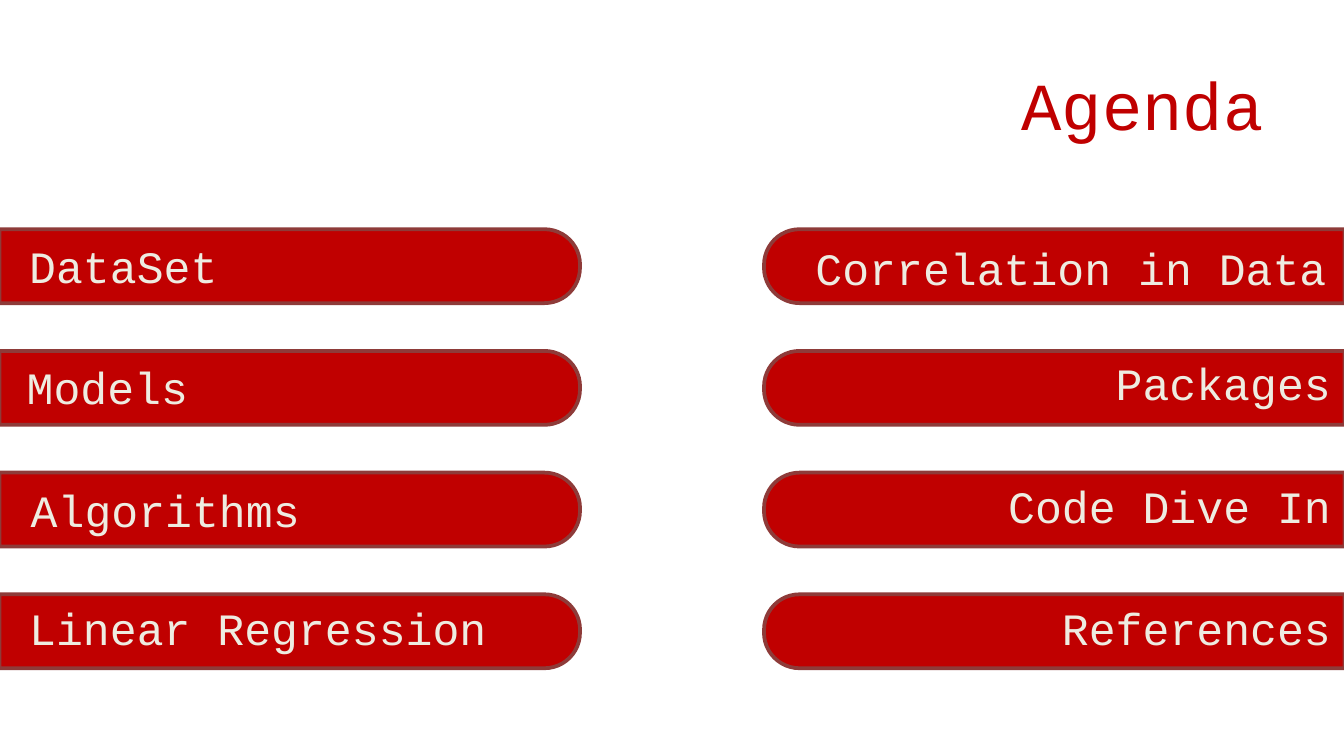
from pptx import Presentation
from pptx.dml.color import RGBColor
from pptx.enum.shapes import MSO_SHAPE
from pptx.enum.text import MSO_ANCHOR, PP_ALIGN
from pptx.util import Pt

COLORS = {"red": "C00000", "outline": "8E3B39", "cream": "EEECE1"}
FONT = "Courier New"
BAR_LENGTH, BAR_THICKNESS = 311, 39.6
FIRST_BAR_CENTER, BAR_STEP = 142.6, 65.2

presentation = Presentation()
presentation.slide_width = Pt(720)
presentation.slide_height = Pt(405)
slide = presentation.slides.add_slide(presentation.slide_layouts[6])


def add_label(text, left, top, width, height, size, color, alignment):
    text_box = slide.shapes.add_textbox(Pt(left), Pt(top), Pt(width), Pt(height))
    frame = text_box.text_frame
    frame.word_wrap = True
    paragraph = frame.paragraphs[0]
    paragraph.alignment = alignment
    run = paragraph.add_run()
    run.text = text
    run.font.name = FONT
    run.font.size = Pt(size)
    run.font.color.rgb = RGBColor.from_string(COLORS[color])
    return frame


title = add_label("Agenda", 33.8, 25.2, 650.2, 60.5, 36, "red", PP_ALIGN.RIGHT)
title.vertical_anchor = MSO_ANCHOR.MIDDLE

# Each bar is an upright shape turned so that its round end faces the middle
for center_x, rotation in ((155.2, 90), (564.8, 270)):
    for row in range(4):
        center_y = FIRST_BAR_CENTER + row * BAR_STEP
        bar = slide.shapes.add_shape(
            MSO_SHAPE.ROUND_2_SAME_RECTANGLE,
            Pt(center_x - BAR_THICKNESS / 2), Pt(center_y - BAR_LENGTH / 2),
            Pt(BAR_THICKNESS), Pt(BAR_LENGTH))
        bar.rotation = rotation
        bar.adjustments[0] = 0.48
        bar.adjustments[1] = 0
        bar.shadow.inherit = False
        bar.fill.solid()
        bar.fill.fore_color.rgb = RGBColor.from_string(COLORS["red"])
        bar.line.color.rgb = RGBColor.from_string(COLORS["outline"])
        bar.line.width = Pt(2)

# Text, left, top, alignment
topics = [
    ("DataSet", 8.6, 124.6, PP_ALIGN.LEFT),
    ("Models", 7.2, 189.4, PP_ALIGN.LEFT),
    ("Algorithms", 9.4, 254.9, PP_ALIGN.LEFT),
    ("Linear Regression", 8.6, 318.2, PP_ALIGN.LEFT),
    ("Correlation in Data", 429.8, 125.3, PP_ALIGN.LEFT),
    ("Packages", 429.8, 187.2, PP_ALIGN.RIGHT),
    ("Code Dive In", 429.8, 252.7, PP_ALIGN.RIGHT),
    ("References", 429.8, 318.2, PP_ALIGN.RIGHT),
]
for text, left, top, alignment in topics:
    add_label(text, left, top, 290.2, 36, 24, "cream", alignment)

presentation.save("out.pptx")
